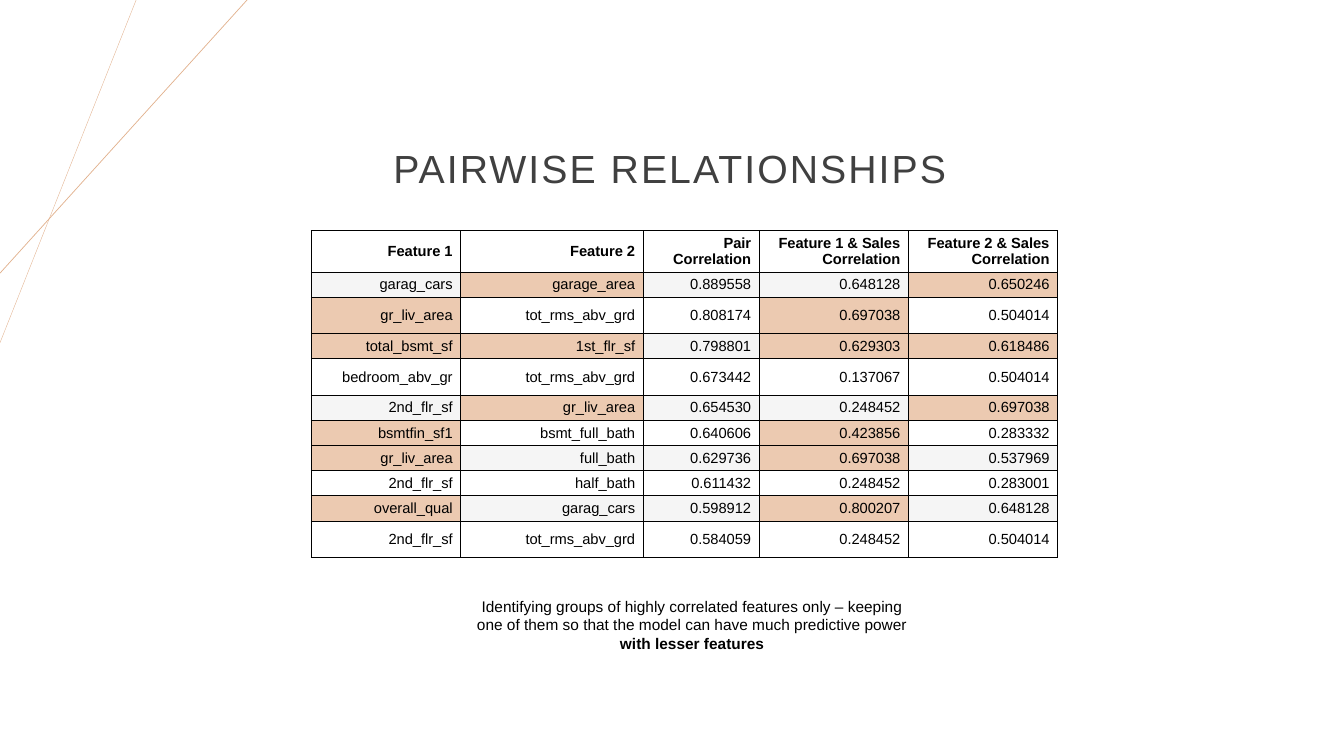
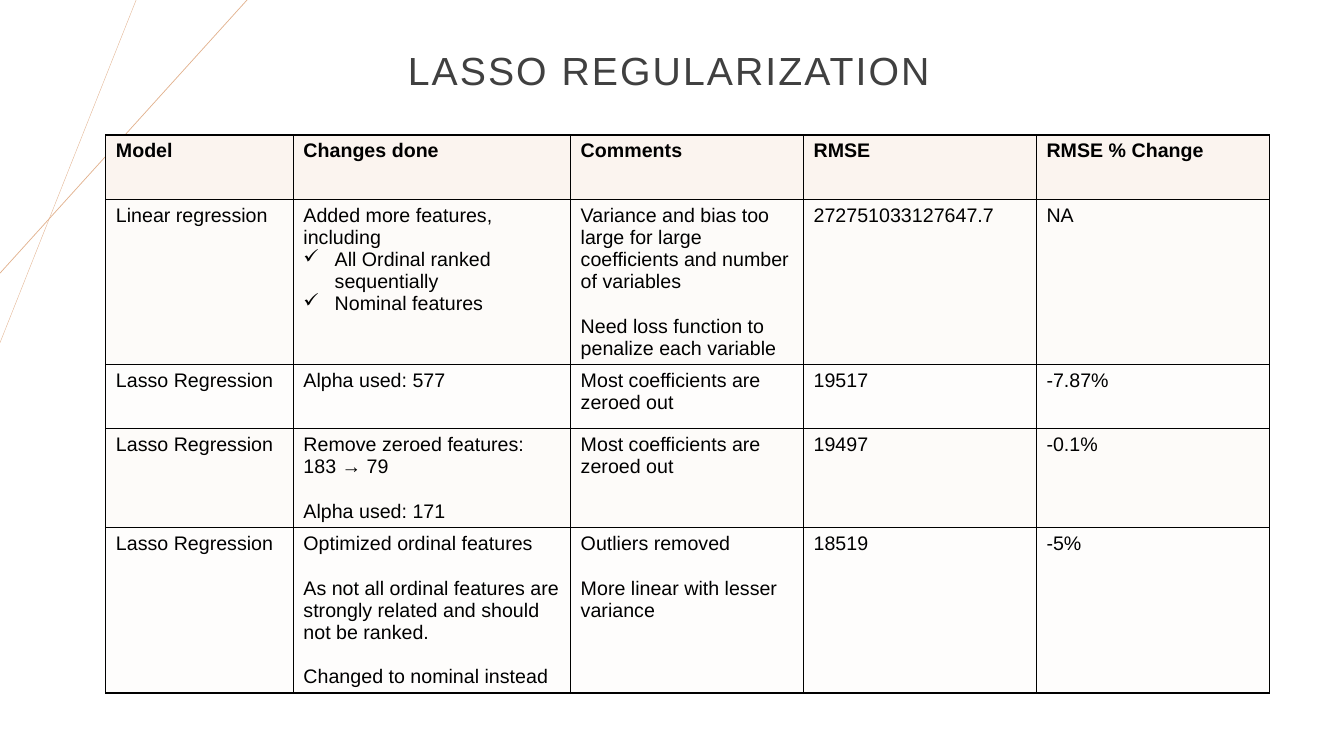
import pptx
import pptx.util
import pptx.dml.color
import pptx.enum.shapes
import pptx.enum.text
import pptx.oxml
import pptx.oxml.ns
from pptx.util import Inches

FONT = "Arial"
BLACK, WHITE, GREY = "000000", "FFFFFF", "F5F5F5"
TITLE, ACCENT, MARK = "404040", "E2B18D", "ECCAB1"
HEAD, ODD, EVEN = "FBF4EF", "FDFBF9", "FEFDFC"
ALIGN = pptx.enum.text.PP_ALIGN
ANCHOR = pptx.enum.text.MSO_ANCHOR
FIT = pptx.enum.text.MSO_AUTO_SIZE

PAIR_HEAD = ["Feature 1", "Feature 2", "Pair Correlation",
             "Feature 1 & Sales\nCorrelation", "Feature 2 & Sales\nCorrelation"]
# Each pair: two features, three correlations, features to keep
PAIRS = [
    ("garag_cars", "garage_area", "0.889558", "0.648128", "0.650246", (2,)),
    ("gr_liv_area", "tot_rms_abv_grd", "0.808174", "0.697038", "0.504014", (1,)),
    ("total_bsmt_sf", "1st_flr_sf", "0.798801", "0.629303", "0.618486", (1, 2)),
    ("bedroom_abv_gr", "tot_rms_abv_grd", "0.673442", "0.137067", "0.504014", ()),
    ("2nd_flr_sf", "gr_liv_area", "0.654530", "0.248452", "0.697038", (2,)),
    ("bsmtfin_sf1", "bsmt_full_bath", "0.640606", "0.423856", "0.283332", (1,)),
    ("gr_liv_area", "full_bath", "0.629736", "0.697038", "0.537969", (1,)),
    ("2nd_flr_sf", "half_bath", "0.611432", "0.248452", "0.283001", ()),
    ("overall_qual", "garag_cars", "0.598912", "0.800207", "0.648128", (1,)),
    ("2nd_flr_sf", "tot_rms_abv_grd", "0.584059", "0.248452", "0.504014", ()),
]
# A blank line in a cell means a gap before the next paragraph
MODELS = [
    ["Model", "Changes done", "Comments", "RMSE", "RMSE % Change"],
    ["Linear regression",
     "Added more features, including\n✓All Ordinal ranked sequentially\n✓Nominal features",
     "Variance and bias too large for large coefficients and number of variables\n\n"
     "Need loss function to penalize each variable",
     "272751033127647.7", "NA"],
    ["Lasso Regression", "Alpha used: 577", "Most coefficients are zeroed out",
     "19517", "-7.87%"],
    ["Lasso Regression", "Remove zeroed features:\n183 → 79\n\nAlpha used: 171",
     "Most coefficients are zeroed out", "19497", "-0.1%"],
    ["Lasso Regression",
     "Optimized ordinal features\n\nAs not all ordinal features are strongly related "
     "and should not be ranked.\n\nChanged to nominal instead",
     "Outliers removed\n\nMore linear with lesser variance", "18519", "-5%"],
]


def color(text):
    return pptx.dml.color.RGBColor.from_string(text)


def apply(item, values):
    for name, value in values.items():
        setattr(item, name, value)


def box(left, top, width, height):
    return dict(left=Inches(left), top=Inches(top),
                width=Inches(width), height=Inches(height))


def add_run(para, text, size, tint=BLACK, bold=False):
    run = para.add_run()
    run.text = text
    apply(run.font, dict(name=FONT, size=pptx.util.Pt(size), bold=bold))
    run.font.color.rgb = color(tint)
    return run


def add_child(parent, tag, **values):
    child = pptx.oxml.ns.qn(tag)
    node = parent.makeelement(child, values)
    parent.append(node)
    return node


def add_ray(slide, layout, x, y, width):
    """Draw a ray from the top edge to the left edge and keep it on the layout."""
    ray = slide.shapes.add_connector(
        pptx.enum.shapes.MSO_CONNECTOR.STRAIGHT, Inches(x), 0, 0, Inches(y))
    ray.line.color.rgb = color(ACCENT)
    ray.line.width = pptx.util.Pt(width)
    add_child(ray._element.spPr, "a:effectLst")
    layout.shapes._spTree.append(ray._element)


def add_slide(deck, layout, title, left, top):
    slide = deck.slides.add_slide(layout)
    head = slide.shapes.title
    apply(head, box(left, top, 9.21, 1.45))
    apply(head.text_frame, dict(word_wrap=True, auto_size=FIT.NONE,
                                vertical_anchor=ANCHOR.MIDDLE))
    para = head.text_frame.paragraphs[0]
    apply(para, dict(alignment=ALIGN.CENTER, line_spacing=0.9))
    run = add_run(para, title, 28, TITLE)
    run.font._element.set("spc", "150")
    return slide


def add_border(cell):
    props = cell._tc.get_or_add_tcPr()
    for spot, side in enumerate(("a:lnL", "a:lnR", "a:lnT", "a:lnB")):
        line = add_child(props, side, w=str(pptx.util.Pt(1)))
        add_child(add_child(line, "a:solidFill"), "a:srgbClr", val=BLACK)
        props.insert(spot, line)


def add_bullet(para, sign):
    props = para._p.get_or_add_pPr()
    indent = Inches(0.31)
    props.set("marL", str(indent))
    props.set("indent", str(-indent))
    add_child(props, "a:buChar", char=sign)


def fill_cell(cell, text, fill, size, bold, align):
    cell.fill.solid()
    cell.fill.fore_color.rgb = color(fill)
    add_border(cell)
    frame = cell.text_frame
    para = frame.paragraphs[0]
    gap = False
    for row, line in enumerate(text.split("\n")):
        if not line:
            gap = True
            continue
        if row:
            para = frame.add_paragraph()
        para.alignment = align
        if gap:
            para.space_before = pptx.util.Pt(size * 1.15)
            gap = False
        if line.startswith("✓"):
            add_bullet(para, "✓")
        add_run(para, line.lstrip("✓"), size, bold=bold)


def add_table(slide, left, top, cols, rows, texts, shade, size,
              align=ALIGN.LEFT, style=None):
    """Add a bordered table; shade(row, col) gives each cell's fill."""
    place = box(left, top, sum(cols), sum(rows))
    table = slide.shapes.add_table(len(rows), len(cols), **place).table
    apply(table, dict(first_row=False, horz_banding=False))
    for col, width in zip(table.columns, cols):
        col.width = Inches(width)
    for row, height in zip(table.rows, rows):
        row.height = Inches(height)
    for r, line in enumerate(texts):
        for c, text in enumerate(line):
            cell = table.cell(r, c)
            apply(cell, style or {})
            fill_cell(cell, text, shade(r, c), size, r == 0, align)


def pair_shade(row, col):
    if row and col != 2 and col % 3 + 1 in PAIRS[row - 1][-1]:
        return MARK
    return GREY if row % 2 else WHITE


def model_shade(row, col):
    return HEAD if row == 0 else ODD if row % 2 else EVEN


def add_note(slide):
    note = slide.shapes.add_textbox(**box(4.59, 5.87, 4.55, 0.66))
    apply(note.text_frame, dict(word_wrap=True, auto_size=FIT.SHAPE_TO_FIT_TEXT))
    para = note.text_frame.paragraphs[0]
    para.alignment = ALIGN.CENTER
    add_run(para, "Identifying groups of highly correlated features only – keeping one "
            "of them so that the model can have much predictive power ", 11)
    add_run(para, "with lesser features", 11, bold=True)


def add_pairs(slide):
    rows = [0.41] + [0.36 if "tot_rms_abv_grd" in pair else 0.25 for pair in PAIRS]
    texts = [PAIR_HEAD] + [pair[:-1] for pair in PAIRS]
    side, edge = Inches(0.08), Inches(0.04)
    style = dict(vertical_anchor=ANCHOR.MIDDLE, margin_left=side, margin_right=side,
                 margin_top=edge, margin_bottom=edge)
    add_table(slide, 3.09, 2.29, [1.48, 1.81, 1.15, 1.48, 1.48], rows, texts,
              pair_shade, 10.5, ALIGN.RIGHT, style)


def main():
    deck = pptx.Presentation()
    apply(deck, dict(slide_width=Inches(13.33), slide_height=Inches(7.5)))
    layout = deck.slide_layouts[5]

    pairs = add_slide(deck, layout, "PAIRWISE RELATIONSHIPS", 2.04, 0.97)
    add_ray(pairs, layout, 1.35, 3.4, 0.25)
    add_ray(pairs, layout, 2.45, 2.71, 0.5)
    add_pairs(pairs)
    add_note(pairs)

    lasso = add_slide(deck, layout, "LASSO REGULARIZATION", 2.03, 0)
    add_table(lasso, 1.05, 1.34, [1.86, 2.75] + [2.31] * 3,
              [0.64, 1.63, 0.64, 0.98, 1.63], MODELS, model_shade, 14)
    deck.save("out.pptx")


if __name__ == "__main__":
    main()
